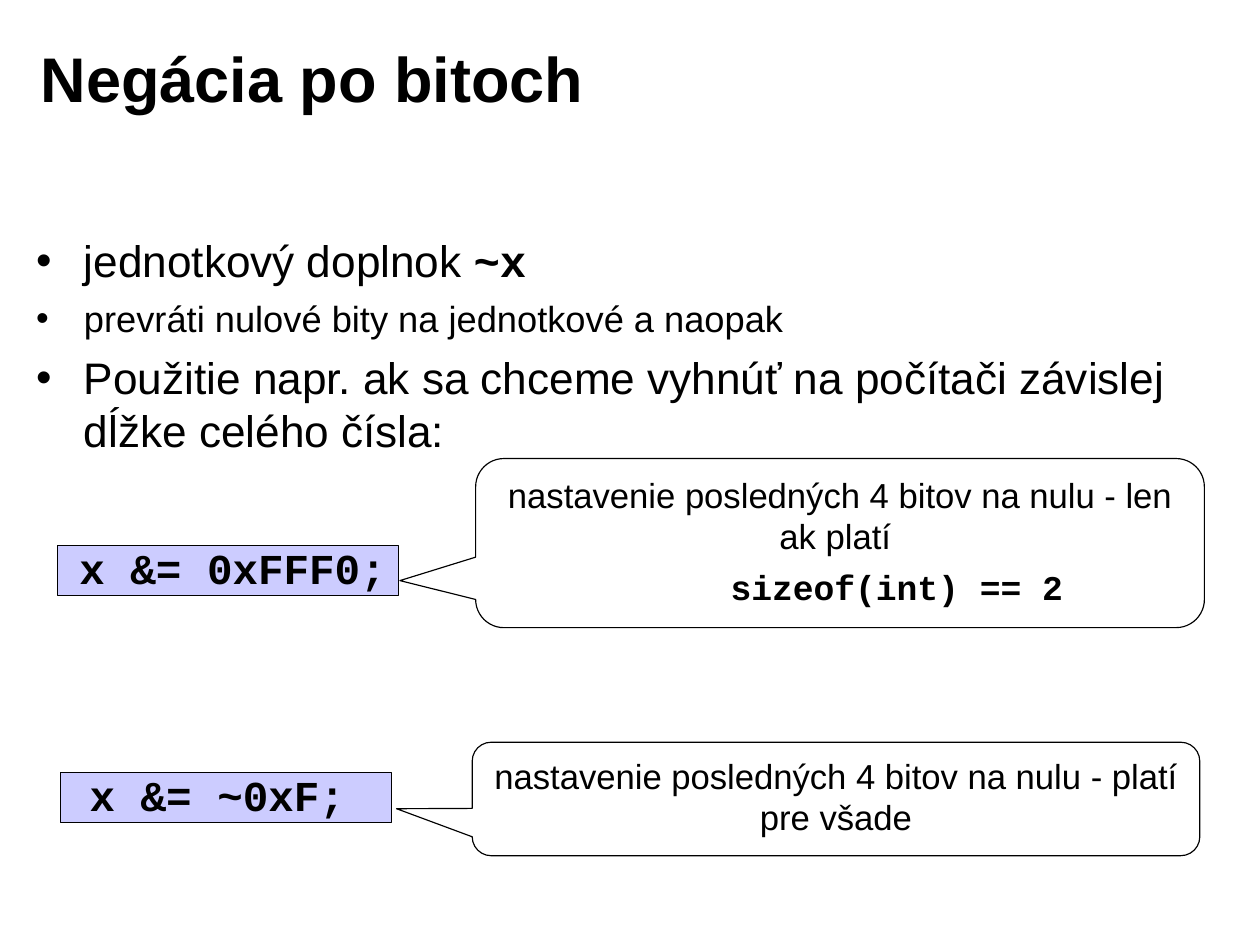
from dataclasses import dataclass

from lxml.etree import SubElement
from pptx import Presentation
from pptx.dml.color import RGBColor
from pptx.enum.shapes import MSO_SHAPE as Preset
from pptx.enum.text import MSO_ANCHOR as Anchor, PP_ALIGN as Align
from pptx.oxml.ns import qn
from pptx.util import Emu, Pt

EMU_PER_PX = 9144


@dataclass(frozen=True)
class Theme:
    ink: RGBColor = RGBColor.from_string("000000")
    paper: RGBColor = RGBColor.from_string("FFFFFF")
    code_fill: RGBColor = RGBColor.from_string("CCCCFF")
    sans: str = "Arial"
    mono: str = "Courier New"
    title: int = 40
    point: int = 28
    subpoint: int = 23
    code: int = 27
    note: int = 22
    outline: float = 0.75
    code_leading: float = 0.95


def px(*lengths):
    return [Emu(length * EMU_PER_PX) for length in lengths]


def write(paragraph, text, *, font, size, color, bold=False):
    run = paragraph.add_run()
    run.text = text
    run.font.name = font
    run.font.size = Pt(size)
    run.font.color.rgb = color
    run.font.bold = bold


class SlideBuilder:
    def __init__(self, slide, theme):
        self.shapes = slide.shapes
        self.theme = theme

    def prepare(self, shape, anchor=Anchor.TOP, margins=(11, 6, 11, 6)):
        frame = shape.text_frame
        frame.word_wrap = True
        frame.vertical_anchor = anchor
        (frame.margin_left, frame.margin_top,
         frame.margin_right, frame.margin_bottom) = px(*margins)
        return frame

    def paragraph(self, frame, index, align, space, indent=0, hanging=0):
        paragraph = frame.add_paragraph() if index else frame.paragraphs[0]
        paragraph.alignment = align
        if index:
            paragraph.space_before = Pt(space)
        properties = paragraph._p.get_or_add_pPr()
        left, first = px(indent, -hanging)
        properties.set("marL", str(left))
        properties.set("indent", str(first))
        if hanging:
            SubElement(properties, qn("a:buFont"), typeface=self.theme.sans)
            SubElement(properties, qn("a:buChar"), char="•")
        return paragraph

    def outlined(self, preset, box, fill):
        shape = self.shapes.add_shape(preset, *px(*box))
        shape.shadow.inherit = False
        shape.fill.solid()
        shape.fill.fore_color.rgb = fill
        shape.line.color.rgb = self.theme.ink
        shape.line.width = Pt(self.theme.outline)
        return shape

    def title(self, text, box):
        frame = self.prepare(self.shapes.add_textbox(*px(*box)), Anchor.MIDDLE)
        write(frame.paragraphs[0], text, font=self.theme.sans,
              size=self.theme.title, color=self.theme.ink, bold=True)

    def bullets(self, points, box):
        frame = self.prepare(self.shapes.add_textbox(*px(*box)))
        for index, (text, code, size) in enumerate(points):
            point = self.paragraph(frame, index, Align.LEFT, size / 4, 42, 42)
            write(point, text, font=self.theme.sans, size=size,
                  color=self.theme.ink)
            if code:
                write(point, code, font=self.theme.mono, size=size,
                      color=self.theme.ink, bold=True)

    def code(self, statement, box, inset):
        shape = self.outlined(Preset.RECTANGLE, box, self.theme.code_fill)
        frame = self.prepare(shape, margins=(inset, 0, 0, 0))
        line = frame.paragraphs[0]
        line.alignment = Align.LEFT
        line.line_spacing = self.theme.code_leading
        write(line, statement, font=self.theme.mono,
              size=self.theme.code, color=self.theme.ink, bold=True)

    def callout(self, remark, box, tip, condition=None):
        shape = self.outlined(Preset.ROUNDED_RECTANGULAR_CALLOUT, box,
                              self.theme.paper)
        for index, value in enumerate((*tip, 0.167)):
            shape.adjustments[index] = value
        frame = self.prepare(shape)
        space = self.theme.note / 4
        write(self.paragraph(frame, 0, Align.CENTER, space), remark,
              font=self.theme.sans, size=self.theme.note, color=self.theme.ink)
        if condition:
            write(self.paragraph(frame, 1, Align.CENTER, space, indent=100),
                  condition, font=self.theme.mono, size=self.theme.note,
                  color=self.theme.ink, bold=True)


def main():
    deck = Presentation()
    deck.slide_width, deck.slide_height = px(1110, 830)
    theme = Theme()
    negation = SlideBuilder(deck.slides.add_slide(deck.slide_layouts[6]), theme)

    negation.title("Negácia po bitoch", (25, 17, 892, 102))
    negation.bullets([
        ("jednotkový doplnok ", "~x", theme.point),
        ("prevráti nulové bity na jednotkové a naopak", None, theme.subpoint),
        ("Použitie napr. ak sa chceme vyhnúť na počítači závislej "
         "dĺžke celého čísla:", None, theme.point),
    ], (21, 200, 1066, 298))
    negation.code("x &= 0xFFF0;", (51, 481, 300, 44), 19)
    negation.code("x &= ~0xF;", (53, 681, 292, 44), 26)
    negation.callout("nastavenie posledných 4 bitov na nulu - len ak platí ",
                     (419, 404, 642, 149), (-0.604, 0.222),
                     "sizeof(int) == 2")
    negation.callout("nastavenie posledných 4 bitov na nulu - platí pre všade",
                     (416, 654, 641, 100), (-0.604, 0.086))
    deck.save("out.pptx")


if __name__ == "__main__":
    main()
